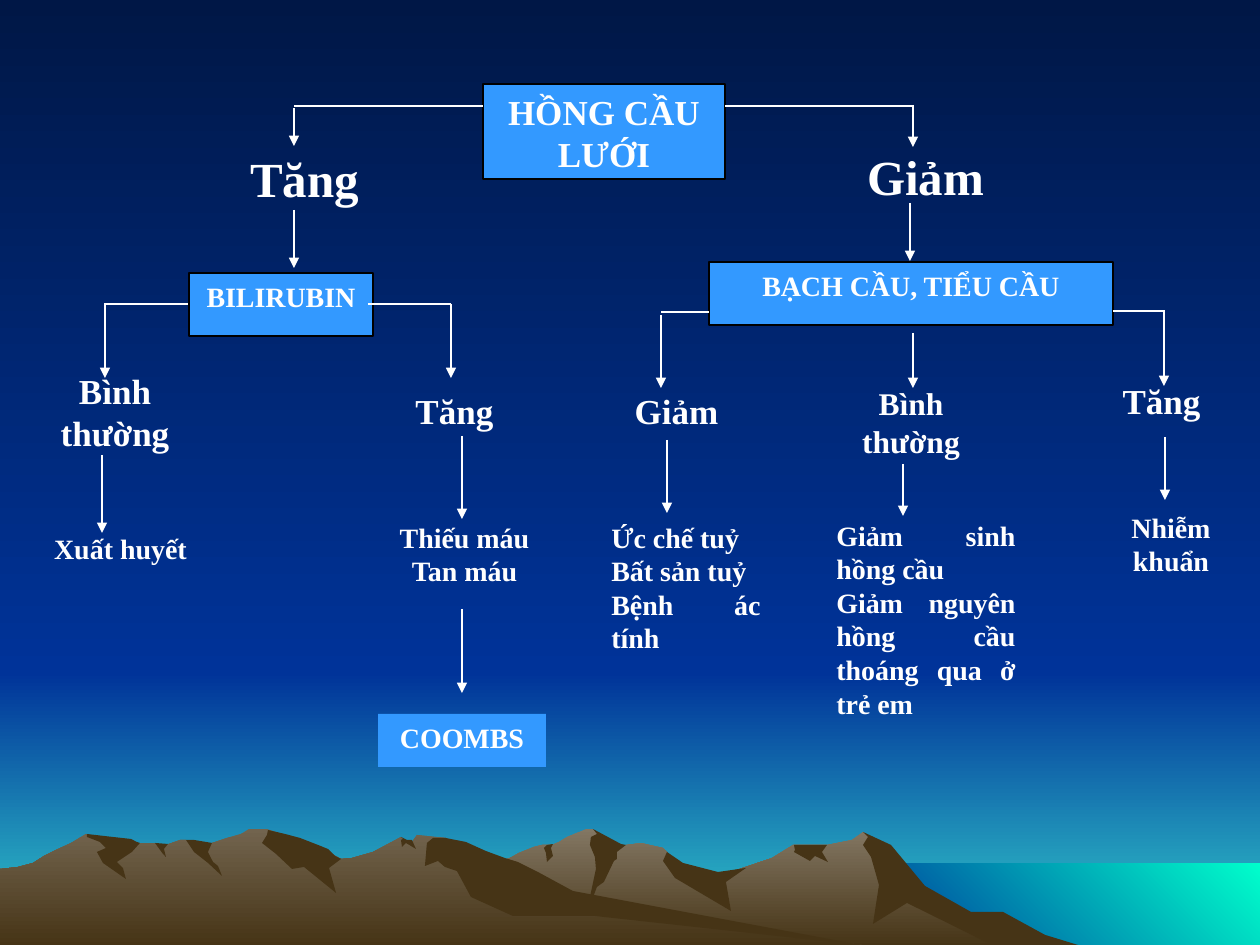
import pptx
import pptx.util
import pptx.dml.color
import pptx.enum.shapes
import pptx.enum.text
import pptx.oxml.ns
import lxml.etree

RGB = pptx.dml.color.RGBColor
NIGHT = RGB(0x00, 0x17, 0x46)
NAVY = RGB(0x00, 0x33, 0x99)
TEAL = RGB(0x33, 0xCC, 0xCC)
MINT = RGB(0x00, 0xFF, 0xCC)
STONE = RGB(0x83, 0x77, 0x63)
EARTH = RGB(0x72, 0x64, 0x4E)
BROWN = RGB(0x46, 0x34, 0x16)
BLUE = RGB(0x33, 0x99, 0xFF)
WHITE = RGB(0xFF, 0xFF, 0xFF)
BLACK = RGB(0x00, 0x00, 0x00)

SCALE = 914400 / 126
WIDE, HIGH = 1260, 945
CENTER = pptx.enum.text.PP_ALIGN.CENTER
JUSTIFY = pptx.enum.text.PP_ALIGN.JUSTIFY
RECT = pptx.enum.shapes.MSO_SHAPE.RECTANGLE
STRAIGHT = pptx.enum.shapes.MSO_CONNECTOR.STRAIGHT

FAR_RIDGE = [
    (1011, 932), (980, 916), (963, 911), (911, 879), (885, 845), (863, 832), (852, 840),
    (827, 845), (793, 845), (772, 858), (713, 878), (675, 869), (667, 852), (663, 848),
    (641, 843), (626, 845), (612, 848), (597, 833), (593, 829), (586, 829), (567, 837),
    (559, 842), (552, 845), (542, 845), (534, 847), (519, 853), (510, 858), (496, 863),
    (447, 879), (412, 893), (349, 931), (325, 946), (1034, 946)]
FAR_SHADES = [
    [(1003, 912), (971, 912), (925, 886), (891, 845), (863, 832), (868, 837), (863, 845),
     (871, 857), (879, 885), (873, 924), (907, 903), (998, 948), (1081, 946), (1045, 935)],
    [(593, 829), (597, 834), (591, 837), (590, 845), (595, 857), (596, 869), (586, 916),
     (597, 887), (604, 882), (614, 861), (617, 859), (617, 852), (626, 845), (621, 844)],
    [(667, 852), (663, 861), (675, 878), (731, 911), (726, 882), (746, 868), (718, 872),
     (683, 863)],
    [(819, 845), (794, 845), (795, 850), (794, 852), (810, 861), (815, 856), (828, 862),
     (822, 852), (827, 845)],
    [(546, 853), (544, 848), (547, 845), (553, 844), (551, 848), (553, 856), (547, 862)]]
NEAR_RIDGE = [
    (869, 946), (840, 942), (544, 897), (446, 838), (417, 835), (412, 842), (407, 842),
    (401, 837), (373, 852), (352, 858), (341, 859), (328, 852), (297, 858), (281, 835),
    (276, 832), (267, 829), (249, 829), (241, 834), (227, 838), (212, 843), (202, 845),
    (186, 840), (180, 840), (166, 845), (161, 845), (155, 843), (140, 843), (118, 845),
    (86, 834), (71, 843), (58, 849), (44, 856), (33, 863), (18, 867), (0, 869), (0, 946)]
NEAR_SHADES = [
    [(267, 835), (262, 843), (276, 854), (292, 869), (304, 867), (336, 893), (329, 868),
     (341, 859), (335, 856), (328, 849), (318, 845), (300, 838), (285, 834), (268, 830)],
    [(466, 842), (446, 838), (433, 838), (427, 843), (425, 866), (438, 861), (445, 867),
     (457, 871), (471, 897), (513, 916), (595, 916), (869, 946), (861, 945), (573, 891),
     (538, 872), (518, 862), (505, 858), (486, 851)],
    [(401, 840), (403, 839), (401, 837), (407, 840), (412, 840), (416, 849), (406, 843),
     (402, 847)],
    [(194, 840), (212, 843), (208, 852), (213, 862), (218, 866), (222, 876), (208, 863),
     (194, 852), (186, 840)],
    [(168, 844), (164, 849), (166, 857), (163, 854), (155, 843)],
    [(137, 842), (140, 843), (132, 852), (117, 862), (123, 868), (126, 879), (103, 863),
     (97, 852), (106, 848), (100, 842), (87, 837), (87, 834), (113, 837), (131, 839)]]

BOXES = [
    ("HỒNG CẦU LƯỚI", (483, 84, 242, 95), 20, BLACK),
    ("BILIRUBIN", (189, 273, 184, 63), 16, BLACK),
    ("BẠCH CẦU, TIỂU CẦU", (709, 262, 404, 63), 16, BLACK),
    ("COOMBS", (378, 714, 168, 53), 16, None)]
LABELS = [
    (["Tăng"], (231, 142, 147, 37), 28, CENTER),
    (["Giảm"], (843, 140, 165, 49), 28, CENTER),
    (["Bình thường"], (10, 363, 210, 37), 20, CENTER),
    (["Tăng"], (399, 383, 111, 37), 20, CENTER),
    (["Giảm"], (620, 383, 113, 37), 20, CENTER),
    (["Bình thường"], (840, 378, 142, 32), 18, CENTER),
    (["Tăng"], (1094, 373, 135, 37), 20, CENTER),
    (["Xuất huyết"], (21, 525, 199, 34), 16, CENTER),
    (["Thiếu máu", "Tan máu"], (357, 514, 215, 42), 16, CENTER),
    (["Ức chế tuỷ", "Bất sản tuỷ", "Bệnh ác tính"], (599, 514, 174, 73), 16, JUSTIFY),
    (["Giảm sinh hồng cầu", "Giảm nguyên hồng cầu thoáng qua ở trẻ em"],
     (824, 512, 204, 98), 16, JUSTIFY),
    (["Nhiễm khuẩn"], (1092, 504, 158, 100), 16, CENTER)]
# Level branches: start x, end x, y
BRANCHES = [(483, 294, 106), (725, 913, 106), (188, 104, 304), (368, 451, 304),
            (709, 661, 312), (1113, 1165, 311)]
# Downward arrows: x, top, bottom
ARROWS = [
    (294, 108, 146), (913, 105, 147), (294, 210, 268), (910, 203, 261),
    (105, 304, 378), (451, 304, 378), (661, 315, 388), (913, 333, 388), (1164, 312, 386),
    (102, 455, 533), (462, 436, 519), (667, 440, 513), (903, 464, 516), (1165, 437, 500),
    (462, 609, 693)]


def emu(px):
    return pptx.util.Emu(round(px * SCALE))


def blend(fill, first, last, angle=90):
    """Two-colour gradient; the angle runs clockwise."""
    fill.gradient()
    fill.gradient_angle = 360 - angle
    for stop, color in zip(fill.gradient_stops, (first, last)):
        stop.color.rgb = color


class Painter:
    font = "Times New Roman"
    stroke = pptx.util.Pt(0.75)

    def __init__(self, slide):
        self.slide = slide
        self.shapes = slide.shapes

    def paint(self, shape, colors, angle=90):
        """Fill with one colour or a gradient of two, with no outline."""
        shape.shadow.inherit = False
        shape.line.fill.background()
        if len(colors) == 2:
            blend(shape.fill, *colors, angle)
        else:
            shape.fill.solid()
            shape.fill.fore_color.rgb = colors[0]
        return shape

    def rect(self, area, *colors, angle=90):
        shape = self.shapes.add_shape(RECT, *map(emu, area))
        return self.paint(shape, colors, angle)

    def outline(self, points, *colors):
        form = self.shapes.build_freeform(*points[0], scale=SCALE)
        form.add_line_segments(points[1:], close=True)
        self.paint(form.convert_to_shape(), colors)

    def letter(self, frame, lines, size, align):
        """Put styled text into a frame, one paragraph a line."""
        frame.word_wrap = True
        frame.vertical_anchor = pptx.enum.text.MSO_ANCHOR.TOP
        frame.text = "\n".join(lines)
        for para in frame.paragraphs:
            para.alignment = align
            para.font.name = self.font
            para.font.size = pptx.util.Pt(size)
            para.font.bold = True
            para.font.color.rgb = WHITE

    def box(self, text, area, size, edge):
        shape = self.rect(area, BLUE)
        if edge is not None:
            shape.line.color.rgb = edge
            shape.line.width = self.stroke
        self.letter(shape.text_frame, [text], size, CENTER)

    def label(self, lines, area, size, align):
        frame = self.shapes.add_textbox(*map(emu, area)).text_frame
        self.letter(frame, lines, size, align)

    def line(self, start, end, arrow=False):
        wire = self.shapes.add_connector(STRAIGHT, *map(emu, start + end))
        wire.line.color.rgb = WHITE
        wire.line.width = self.stroke
        qn = pptx.oxml.ns.qn
        props = wire._element.spPr
        if arrow:
            edge = props.find(qn("a:ln"))
            lxml.etree.SubElement(edge, qn("a:tailEnd"), type="triangle")
        lxml.etree.SubElement(props, qn("a:effectLst"))


def main():
    deck = pptx.Presentation()
    deck.slide_width, deck.slide_height = emu(WIDE), emu(HIGH)
    art = Painter(deck.slides.add_slide(deck.slide_layouts[6]))

    blend(art.slide.background.fill, NIGHT, NAVY)
    art.rect((0, 672, WIDE, 273), NAVY, TEAL)
    art.rect((0, 0, WIDE, 672), NIGHT, NAVY)
    art.rect((861, 863, 399, 82), MINT, NAVY, angle=135)
    for ridge, light, shades in ((FAR_RIDGE, STONE, FAR_SHADES),
                                 (NEAR_RIDGE, EARTH, NEAR_SHADES)):
        art.outline(ridge, light, BROWN)
        for shade in shades:
            art.outline(shade, BROWN)

    for box in BOXES:
        art.box(*box)
    for label in LABELS:
        art.label(*label)
    for left, right, y in BRANCHES:
        art.line((left, y), (right, y))
    for x, top, bottom in ARROWS:
        art.line((x, top), (x, bottom), arrow=True)
    deck.save("out.pptx")


if __name__ == "__main__":
    main()
